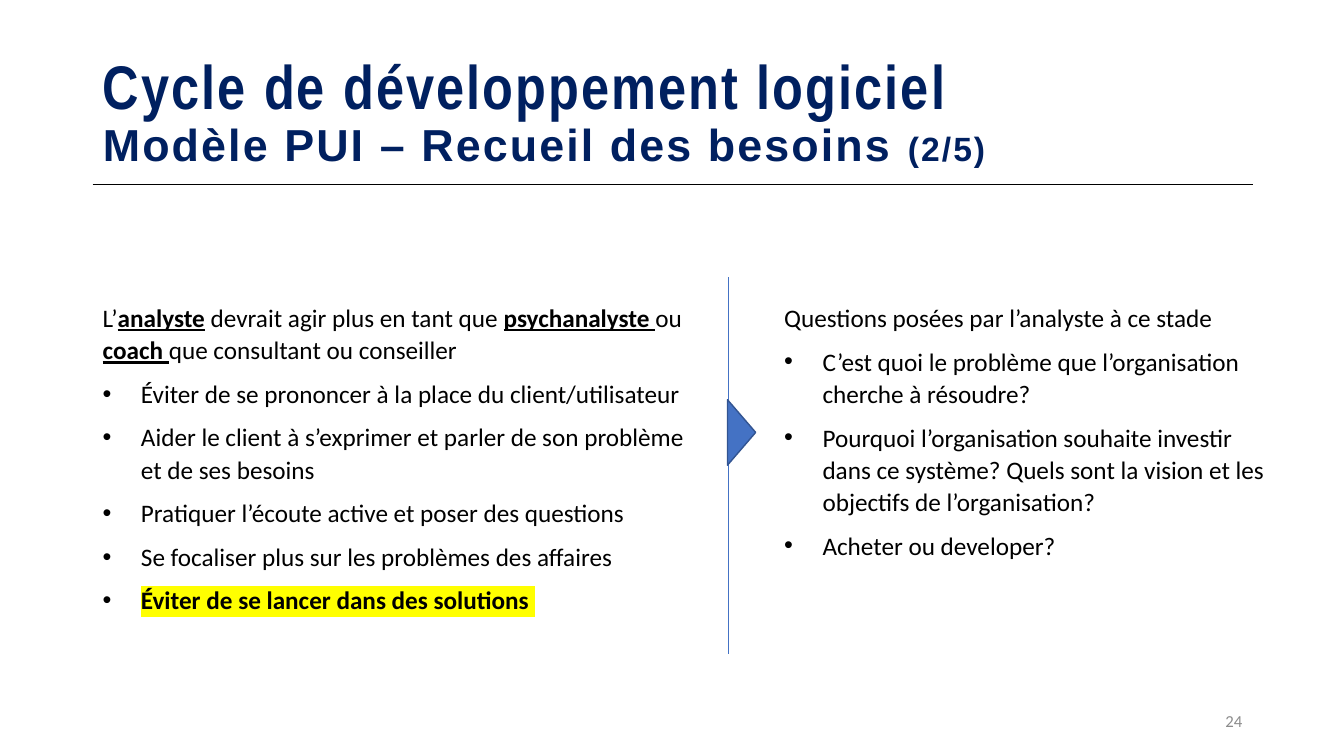
from dataclasses import dataclass

from lxml import etree
from pptx import Presentation
from pptx.dml.color import RGBColor
from pptx.enum.shapes import MSO_CONNECTOR, MSO_SHAPE
from pptx.enum.text import MSO_ANCHOR, MSO_AUTO_SIZE, PP_ALIGN
from pptx.oxml.ns import qn
from pptx.util import Inches, Pt

STRAIGHT = MSO_CONNECTOR.STRAIGHT
TRIANGLE = MSO_SHAPE.ISOSCELES_TRIANGLE
MIDDLE = MSO_ANCHOR.MIDDLE
NO_FIT = MSO_AUTO_SIZE.NONE
LEFT, RIGHT = PP_ALIGN.LEFT, PP_ALIGN.RIGHT
TITLE_ONLY = 5


@dataclass(frozen=True)
class Theme:
    """Colours, fonts and type sizes of the slide."""
    navy: str = "002060"
    black: str = "000000"
    grey: str = "8C8C8C"
    blue: str = "4472C4"
    dark_blue: str = "325491"
    yellow: str = "FFFF00"
    narrow_font: str = "Arial Narrow"
    title_font: str = "Arial"
    body_font: str = "Calibri"
    heading: int = 44
    subheading: int = 32
    counter: int = 24
    body: int = 18
    page: int = 12


THEME = Theme()

ANALYST_ROLE = [
    ("L’", ""), ("analyste", "key"), (" devrait agir plus en tant que ", ""),
    ("psychanalyste ", "key"), ("ou ", ""), ("coach ", "key"),
    ("que consultant ou conseiller", ""),
]
ANALYST_ADVICE = [
    [("Éviter de se prononcer à la place du client/utilisateur", "")],
    [("Aider le client à s’exprimer et parler de son problème et de ses besoins", "")],
    [("Pratiquer l’écoute active et poser des questions", "")],
    [("Se focaliser plus sur les problèmes des affaires", "")],
    [("Éviter de se lancer dans des solutions ", "marked")],
]
QUESTIONS_INTRO = [("Questions posées par l’analyste à ce stade", "")]
QUESTIONS = [
    [("C’est quoi le problème que l’organisation cherche à résoudre?", "")],
    [("Pourquoi l’organisation souhaite investir dans ce système? "
      "Quels sont la vision et les objectifs de l’organisation?", "")],
    [("Acheter ou developer?", "")],
]


def style_run(run, font, size, color):
    """Set the font, size and colour of a run."""
    run.font.name = font
    run.font.size = Pt(size)
    run.font.color.rgb = RGBColor.from_string(color)


def highlight(run, color):
    """Put a highlight colour behind a run."""
    mark = etree.Element(qn("a:highlight"))
    etree.SubElement(mark, qn("a:srgbClr"), val=color)
    run.font.fill._xPr.find(qn("a:solidFill")).addnext(mark)


def add_bullet(paragraph):
    """Give a paragraph a hanging bullet and a tab stop."""
    properties = paragraph._p.get_or_add_pPr()
    hanging = Inches(0.38)
    properties.set("marL", str(hanging))
    properties.set("indent", str(-hanging))
    etree.SubElement(properties, qn("a:buFont"), typeface="Arial")
    etree.SubElement(properties, qn("a:buChar"), char="•")
    tabs = etree.SubElement(properties, qn("a:tabLst"))
    etree.SubElement(tabs, qn("a:tab"), pos=str(Inches(0.5)), algn="l")


def fill_paragraph(paragraph, parts):
    """Write the styled parts of one body paragraph."""
    paragraph.line_spacing = 1.07
    paragraph.space_after = Pt(8)
    for words, style in parts:
        run = paragraph.add_run()
        run.text = words
        style_run(run, THEME.body_font, THEME.body, THEME.black)
        if style:
            run.font.bold = True
        if style == "key":
            run.font.underline = True
        if style == "marked":
            highlight(run, THEME.yellow)


def add_column(slide, left, top, width, height, intro, points):
    """Add an introduction followed by bulleted points."""
    column = slide.shapes.add_textbox(Inches(left), Inches(top), Inches(width), Inches(height))
    frame = column.text_frame
    frame.word_wrap = True
    fill_paragraph(frame.paragraphs[0], intro)
    for point in points:
        paragraph = frame.add_paragraph()
        add_bullet(paragraph)
        fill_paragraph(paragraph, point)


def add_rule(slide, x1, y1, x2, y2, color):
    """Add a thin straight line."""
    rule = slide.shapes.add_connector(STRAIGHT, Inches(x1), Inches(y1), Inches(x2), Inches(y2))
    rule.line.color.rgb = RGBColor.from_string(color)
    rule.line.width = Pt(0.5)
    etree.SubElement(rule._element.spPr, qn("a:effectLst"))


def set_title(slide):
    """Place the title and write its two lines."""
    title = slide.shapes.title
    title.left, title.top = Inches(0.92), Inches(0.4)
    title.width, title.height = Inches(11.5), Inches(1.45)
    frame = title.text_frame
    frame.word_wrap = True
    frame.auto_size = NO_FIT
    frame.vertical_anchor = MIDDLE
    paragraph = frame.paragraphs[0]
    paragraph.text = "Cycle de développement logiciel\v"
    paragraph.alignment = LEFT
    paragraph.line_spacing = 0.9
    for words in ("Modèle PUI – Recueil des besoins ", "(2/5)"):
        paragraph.add_run().text = words
    looks = [(THEME.narrow_font, THEME.heading), (THEME.title_font, THEME.subheading),
             (THEME.title_font, THEME.counter)]
    for run, (font, size) in zip(paragraph.runs, looks):
        style_run(run, font, size, THEME.navy)
        run.font.bold = True
        run._r.get_or_add_rPr().set("spc", "150")


def add_pointer(slide):
    """Add the triangle that points to the questions."""
    pointer = slide.shapes.add_shape(TRIANGLE, Inches(7.03), Inches(4.15), Inches(0.65), Inches(0.28))
    pointer.rotation = 90
    pointer.shadow.inherit = False
    pointer.fill.solid()
    pointer.fill.fore_color.rgb = RGBColor.from_string(THEME.blue)
    pointer.line.color.rgb = RGBColor.from_string(THEME.dark_blue)
    pointer.line.width = Pt(1)


def add_page_number(slide, number):
    """Add the page number at the lower right."""
    page = slide.shapes.add_textbox(Inches(9.42), Inches(6.95), Inches(3), Inches(0.4))
    frame = page.text_frame
    frame.word_wrap = True
    frame.vertical_anchor = MIDDLE
    frame.text = number
    paragraph = frame.paragraphs[0]
    paragraph.alignment = RIGHT
    style_run(paragraph.runs[0], THEME.body_font, THEME.page, THEME.grey)


def main():
    """Build the slide and save it."""
    deck = Presentation()
    deck.slide_width, deck.slide_height = Inches(13.33), Inches(7.5)
    slide = deck.slides.add_slide(deck.slide_layouts[TITLE_ONLY])
    add_rule(slide, 0.92, 1.83, 12.43, 1.83, THEME.black)
    set_title(slide)
    add_page_number(slide, "24")
    add_column(slide, 7.68, 2.93, 5.17, 3.42, QUESTIONS_INTRO, QUESTIONS)
    add_rule(slide, 7.22, 2.75, 7.22, 6.49, THEME.blue)
    add_pointer(slide)
    add_column(slide, 0.92, 2.93, 6.03, 3.24, ANALYST_ROLE, ANALYST_ADVICE)
    deck.save("out.pptx")


if __name__ == "__main__":
    main()
